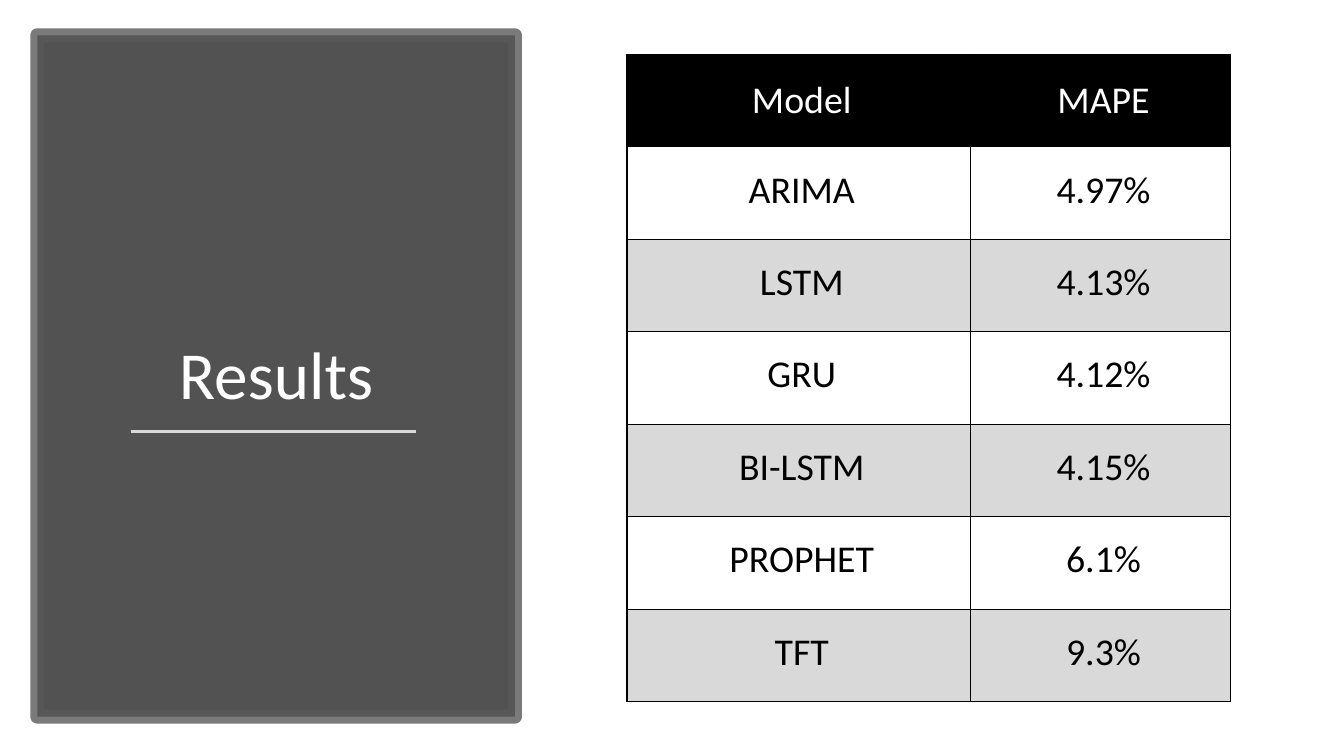
from lxml.etree import SubElement
from pptx import Presentation
from pptx.dml.color import RGBColor
from pptx.enum.shapes import MSO_CONNECTOR, MSO_SHAPE
from pptx.enum.text import MSO_ANCHOR, MSO_AUTO_SIZE, PP_ALIGN
from pptx.oxml.ns import qn
from pptx.util import Cm, Pt

TITLE = "Results"
RESULTS = [
    ("Model", "MAPE"),
    ("ARIMA", "4.97%"),
    ("LSTM", "4.13%"),
    ("GRU", "4.12%"),
    ("BI-LSTM", "4.15%"),
    ("PROPHET", "6.1%"),
    ("TFT", "9.3%"),
]
FONT = "Calibri"
WHITE, BLACK, LIGHT_GRAY = "FFFFFF", "000000", "D9D9D9"
COLUMN_WIDTHS = (8.66, 6.55)
ROW_HEIGHT = 2.33


def paint(fill, color, opacity=100):
    fill.solid()
    fill.fore_color.rgb = RGBColor.from_string(color)
    if opacity < 100:
        color_node = fill._xPr.find(qn("a:solidFill"))[0]
        SubElement(color_node, qn("a:alpha"), val=str(opacity * 1000))


def write(frame, text, size, color):
    paragraph = frame.paragraphs[0]
    paragraph.alignment = PP_ALIGN.CENTER
    run = paragraph.add_run()
    run.text = text
    run.font.name = FONT
    run.font.size = Pt(size)
    paint(run.font.fill, color)
    return paragraph


def add_borders(cell):
    properties = cell._tc.get_or_add_tcPr()
    for side in ("lnL", "lnR", "lnT", "lnB"):
        border = SubElement(properties, qn(f"a:{side}"), w=str(Pt(1)))
        fill = SubElement(border, qn("a:solidFill"))
        SubElement(fill, qn("a:srgbClr"), val=BLACK)


def add_panel(slide):
    panel = slide.shapes.add_shape(
        MSO_SHAPE.RECTANGLE, Cm(0.94), Cm(0.89), Cm(12.04), Cm(17.17))
    panel.shadow.inherit = False
    paint(panel.fill, "404040", 90)
    panel.line.width = Pt(10)
    paint(panel.line.fill, "595959", 80)
    # The panel lies behind the title placeholder
    slide.shapes.title._element.addprevious(panel._element)


def add_title(slide):
    title = slide.shapes.title
    title.left, title.top = Cm(1.88), Cm(2.54)
    title.width, title.height = Cm(10.16), Cm(8.03)
    frame = title.text_frame
    frame.auto_size = MSO_AUTO_SIZE.NONE
    frame.vertical_anchor = MSO_ANCHOR.BOTTOM
    write(frame, TITLE, 48, WHITE).line_spacing = 0.9

    underline = slide.shapes.add_connector(
        MSO_CONNECTOR.STRAIGHT, Cm(3.3), Cm(10.87), Cm(10.49), Cm(10.87))
    underline.line.width = Pt(1.75)
    paint(underline.line.fill, LIGHT_GRAY)
    SubElement(underline._element.spPr, qn("a:effectLst"))


def add_results(slide):
    table = slide.shapes.add_table(
        len(RESULTS), len(COLUMN_WIDTHS), Cm(15.8), Cm(1.37),
        Cm(sum(COLUMN_WIDTHS)), Cm(ROW_HEIGHT * len(RESULTS))).table
    table.horz_banding = False
    for column, width in zip(table.columns, COLUMN_WIDTHS):
        column.width = Cm(width)
    for r, values in enumerate(RESULTS):
        table.rows[r].height = Cm(ROW_HEIGHT)
        is_header = r == 0
        for c, value in enumerate(values):
            cell = table.cell(r, c)
            cell.margin_left = Cm(0.66)
            cell.margin_right = cell.margin_top = cell.margin_bottom = Cm(0.51)
            cell.vertical_anchor = MSO_ANCHOR.MIDDLE if is_header else MSO_ANCHOR.TOP
            add_borders(cell)
            if is_header:
                paint(cell.fill, BLACK)
            elif r % 2 == 0:
                paint(cell.fill, LIGHT_GRAY)
            else:
                cell.fill.background()
            write(cell.text_frame, value, 27, WHITE if is_header else BLACK)


def main():
    deck = Presentation()
    deck.slide_width, deck.slide_height = Cm(33.87), Cm(19.05)
    title_only = deck.slide_layouts[5]
    slide = deck.slides.add_slide(title_only)
    add_panel(slide)
    add_title(slide)
    add_results(slide)
    deck.save("out.pptx")


if __name__ == "__main__":
    main()
